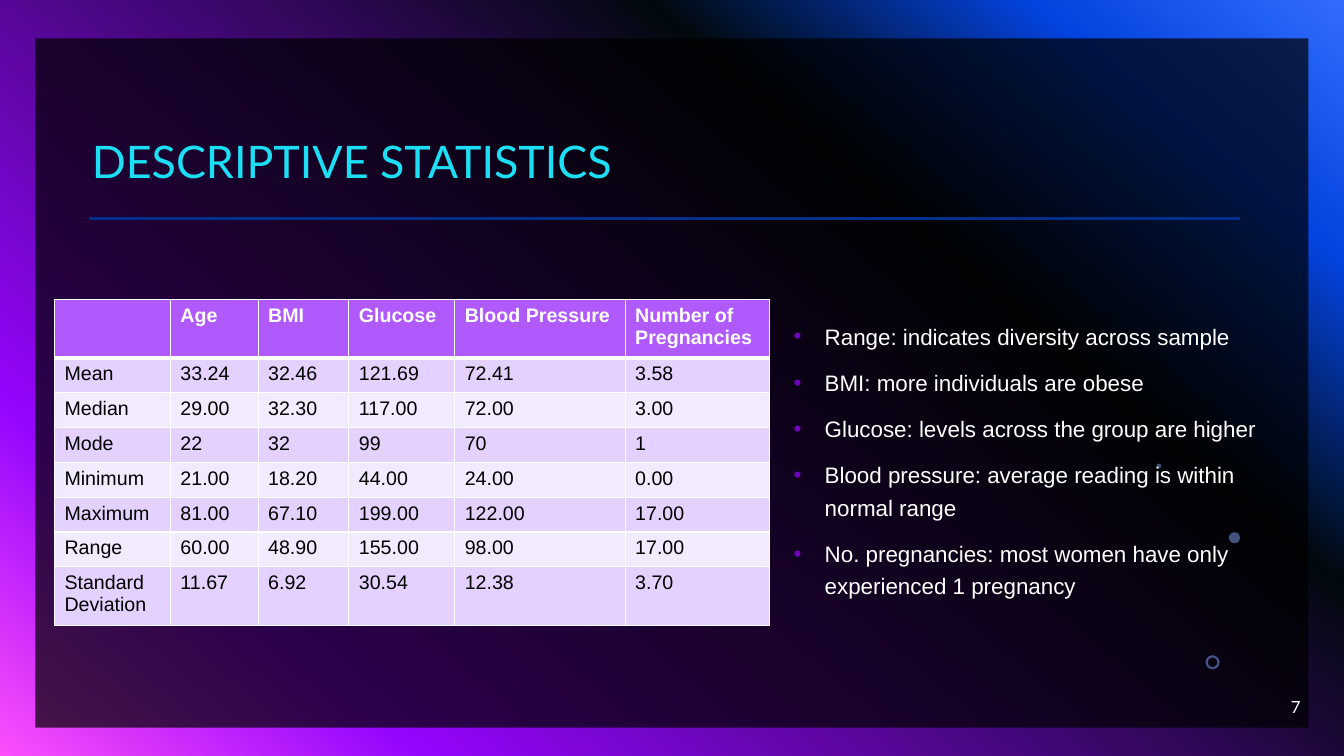
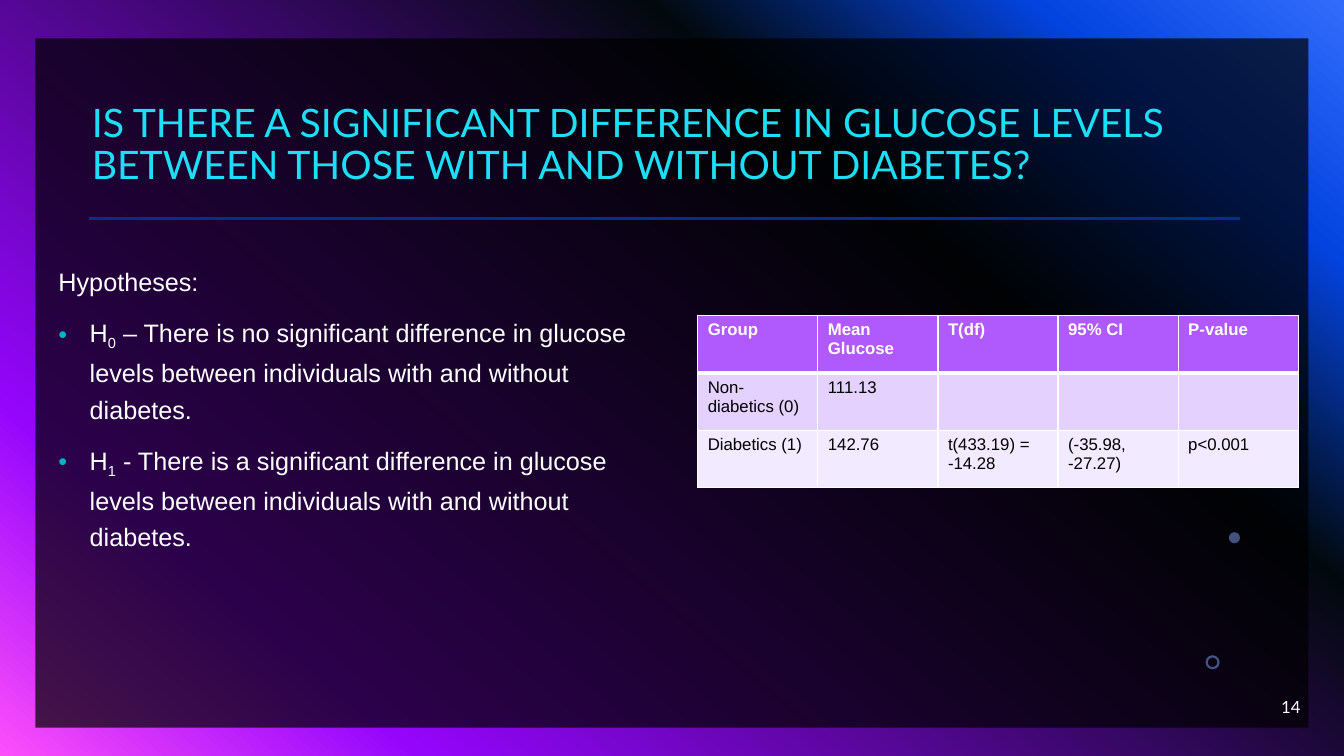
from lxml.etree import SubElement
from pptx import Presentation
from pptx.dml.color import RGBColor
from pptx.enum.shapes import MSO_CONNECTOR, MSO_SHAPE
from pptx.enum.text import MSO_ANCHOR, MSO_AUTO_SIZE, PP_ALIGN
from pptx.oxml.ns import qn
from pptx.util import Inches, Pt

RECT, OVAL, DONUT = MSO_SHAPE.RECTANGLE, MSO_SHAPE.OVAL, MSO_SHAPE.DONUT
LINE = MSO_CONNECTOR.STRAIGHT
TOP, MID, LOW = MSO_ANCHOR.TOP, MSO_ANCHOR.MIDDLE, MSO_ANCHOR.BOTTOM
LEFT, RIGHT = PP_ALIGN.LEFT, PP_ALIGN.RIGHT
FIXED = MSO_AUTO_SIZE.NONE

HUES = {
    "black": "000000", "white": "FFFFFF", "cyan": "1CDFF5",
    "rule": "022F8C", "dot": "83A7FD", "head": "B059FD",
    "odd": "E4D1FE", "even": "F2EAFF",
    "plum": "6F02C0", "teal": "09B0C4",
}
GLOW = [(0, "316CFC"), (14, "0343DF"), (31, "02090E"), (81, "9405FC"), (100, "FC4EFB")]
FONTS = {"head": "Lato", "body": "Arial"}


def solid(node, hue):
    """Add a colour element."""
    SubElement(node, qn("a:srgbClr"), val=hue)


class Deck:
    """The style and the current slide; lengths are percent of the slide."""

    def __init__(self):
        self.prs = Presentation()
        self.prs.slide_width, self.prs.slide_height = Inches(13.33), Inches(7.5)
        self.base = self.prs.slide_layouts[1]
        self.slide = None
        self.glow()

    def x(self, share):
        return round(self.prs.slide_width * share / 100)

    def y(self, share):
        return round(self.prs.slide_height * share / 100)

    def box(self, left, top, wide, high):
        return self.x(left), self.y(top), self.x(wide), self.y(high)

    # Shared background
    def glow(self):
        master = self.prs.slide_master
        fill = master.background.fill
        fill.gradient()
        fill.gradient_angle = 230
        stops = master.element.xpath(".//p:bg//a:gsLst")[0]
        for stop in list(stops):
            stops.remove(stop)
        for pos, hue in GLOW:
            solid(SubElement(stops, qn("a:gs"), pos=str(pos * 1000)), hue)

    # Shared panel, rule and dots, kept on the layout
    def frame(self):
        parts = [
            self.shape(RECT, (2.63, 5.07, 94.72, 91.2), "black", 70),
            self.rule(6.6, 92.25, 28.93),
            self.shape(DONUT, (89.7, 86.67, 1.05, 1.87), "dot", 49),
            self.shape(OVAL, (91.43, 70.4, 0.83, 1.47), "dot", 49),
            self.shape(OVAL, (86.05, 61.33, 0.35, 0.6), "dot", 49),
        ]
        parts[2].adjustments[0] = 0.16
        tree = self.base.shapes._spTree
        for i, part in enumerate(parts):
            node = part._element
            node.xpath(".//p:cNvPr")[0].set("id", str(50 + i))
            tree.insert(2 + i, node)

    def shape(self, kind, place, hue, alpha):
        shape = self.slide.shapes.add_shape(kind, *self.box(*place))
        shape.shadow.inherit = False
        shape.line.fill.background()
        shape.fill.solid()
        shape.fill.fore_color.rgb = RGBColor.from_string(HUES[hue])
        clr = shape._element.spPr.xpath("./a:solidFill/a:srgbClr")[0]
        SubElement(clr, qn("a:alpha"), val=str(alpha * 1000))
        return shape

    def rule(self, start, end, top):
        line = self.slide.shapes.add_connector(
            LINE, self.x(start), self.y(top), self.x(end), self.y(top))
        line.line.width = Pt(2)
        line.line.color.rgb = RGBColor.from_string(HUES["rule"])
        SubElement(line._element.spPr, qn("a:effectLst"))
        return line

    # Text
    def say(self, para, text, face, size, hue, bold=False):
        run = para.add_run()
        run.text = text
        look = {"name": FONTS[face], "size": Pt(size), "bold": bold}
        for key, val in look.items():
            setattr(run.font, key, val)
        run.font.color.rgb = RGBColor.from_string(HUES[hue])
        return run

    def fit(self, shape, place, anchor):
        shape.left, shape.top, shape.width, shape.height = self.box(*place)
        frame = shape.text_frame
        look = {"word_wrap": True, "auto_size": FIXED, "vertical_anchor": anchor}
        for key, val in look.items():
            setattr(frame, key, val)
        return frame

    def new(self, title, size, page):
        first = self.slide is None
        self.slide = self.prs.slides.add_slide(self.base)
        if first:
            self.frame()
        para = self.fit(self.slide.shapes.title, (6.08, 6.27, 86.1, 19.33), LOW).paragraphs[0]
        para.alignment, para.line_spacing = LEFT, 0.9
        self.say(para, title, "head", size, "cyan")
        place = (75.02, 90.8, 22.5, 5.33)
        note = self.slide.shapes.add_textbox(*self.box(*place))
        para = self.fit(note, place, MID).paragraphs[0]
        para.alignment = RIGHT
        self.say(para, page, "head", 12, "white")

    def list(self, place, items, size, mark, lead=None):
        """Each item is a tuple of runs; every second run is a subscript."""
        frame = self.fit(self.slide.placeholders[1], place, TOP)
        rows = ([(lead,)] if lead else []) + items
        for i, runs in enumerate(rows):
            para = frame.add_paragraph() if i else frame.paragraphs[0]
            self.mark(para, None if lead and i == 0 else mark)
            para.line_spacing = 1.2
            para.space_before = Pt(10 if i else 0)
            for j, text in enumerate(runs):
                run = self.say(para, text, "body", size, "white")
                if j % 2:
                    run.font._element.set("baseline", "-25000")

    def mark(self, para, hue):
        props = para._p.get_or_add_pPr()
        dent = Inches(0.31) if hue else 0
        props.set("marL", str(dent))
        props.set("indent", str(-dent))
        if hue:
            solid(SubElement(props, qn("a:buClr")), HUES[hue])
            SubElement(props, qn("a:buFont"), typeface="Arial")
            SubElement(props, qn("a:buChar"), char="•")
        else:
            SubElement(props, qn("a:buNone"))

    # Tables
    def table(self, left, top, cols, rows, data, size):
        place = self.box(left, top, sum(cols), sum(rows))
        grid = self.slide.shapes.add_table(len(rows), len(cols), *place).table
        grid.first_row = grid.horz_banding = False
        for col, wide in zip(grid.columns, cols):
            col.width = self.x(wide)
        for i, (row, high) in enumerate(zip(grid.rows, rows)):
            row.height = self.y(high)
            fill = ("odd" if i % 2 else "even") if i else "head"
            for cell, text in zip(row.cells, data[i]):
                self.edge(cell, i)
                cell.fill.solid()
                cell.fill.fore_color.rgb = RGBColor.from_string(HUES[fill])
                if text:
                    self.say(cell.text_frame.paragraphs[0], text, "body", size,
                             "black" if i else "white", i == 0)

    def edge(self, cell, i):
        props = cell._tc.get_or_add_tcPr()
        wide = {"lnL": 1, "lnR": 1, "lnT": 3 if i == 1 else 1, "lnB": 1 if i else 3}
        for side, size in wide.items():
            line = SubElement(props, qn("a:" + side), w=str(Pt(size)))
            solid(SubElement(line, qn("a:solidFill")), HUES["white"])


STATS = [
    ("", "Age", "BMI", "Glucose", "Blood Pressure", "Number of Pregnancies"),
    ("Mean", "33.24", "32.46", "121.69", "72.41", "3.58"),
    ("Median", "29.00", "32.30", "117.00", "72.00", "3.00"),
    ("Mode", "22", "32", "99", "70", "1"),
    ("Minimum", "21.00", "18.20", "44.00", "24.00", "0.00"),
    ("Maximum", "81.00", "67.10", "199.00", "122.00", "17.00"),
    ("Range", "60.00", "48.90", "155.00", "98.00", "17.00"),
    ("Standard Deviation", "11.67", "6.92", "30.54", "12.38", "3.70"),
]
NOTES = [
    ("Range: indicates diversity across sample",),
    ("BMI: more individuals are obese",),
    ("Glucose: levels across the group are higher",),
    ("Blood pressure: average reading is within normal range",),
    ("No. pregnancies: most women have only experienced 1 pregnancy",),
]
TEST = [
    ("Group", "Mean Glucose", "T(df)", "95% CI", "P-value"),
    ("Non-diabetics (0)", "111.13", "", "", ""),
    ("Diabetics (1)", "142.76", "t(433.19) = -14.28", "(-35.98, -27.27)", "p<0.001"),
]
CLAIMS = [
    ("H", "0", " – There is no significant difference in glucose levels "
     "between individuals with and without diabetes."),
    ("H", "1", " - There is a significant difference in glucose levels "
     "between individuals with and without diabetes."),
]


def main():
    deck = Deck()

    # Descriptive statistics
    deck.new("DESCRIPTIVE STATISTICS", 32, "7")
    deck.list((58.29, 41.33, 37.66, 39.87), NOTES, 16, "plum")
    deck.table(4.05, 39.6, [8.63, 6.53, 6.75, 7.88, 12.68, 10.73],
               [7.73] + [4.61] * 6 + [7.73], STATS, 14)

    # Glucose test
    deck.new("IS THERE A SIGNIFICANT DIFFERENCE IN GLUCOSE LEVELS "
             "BETWEEN THOSE WITH AND WITHOUT DIABETES?", 28, "14")
    deck.list((3.6, 33.73, 46.36, 57.07), CLAIMS, 18, "teal", "Hypotheses:")
    deck.table(51.91, 41.73, [8.94] * 5, [7.6] * 3, TEST, 12)

    deck.prs.save("out.pptx")


if __name__ == "__main__":
    main()
